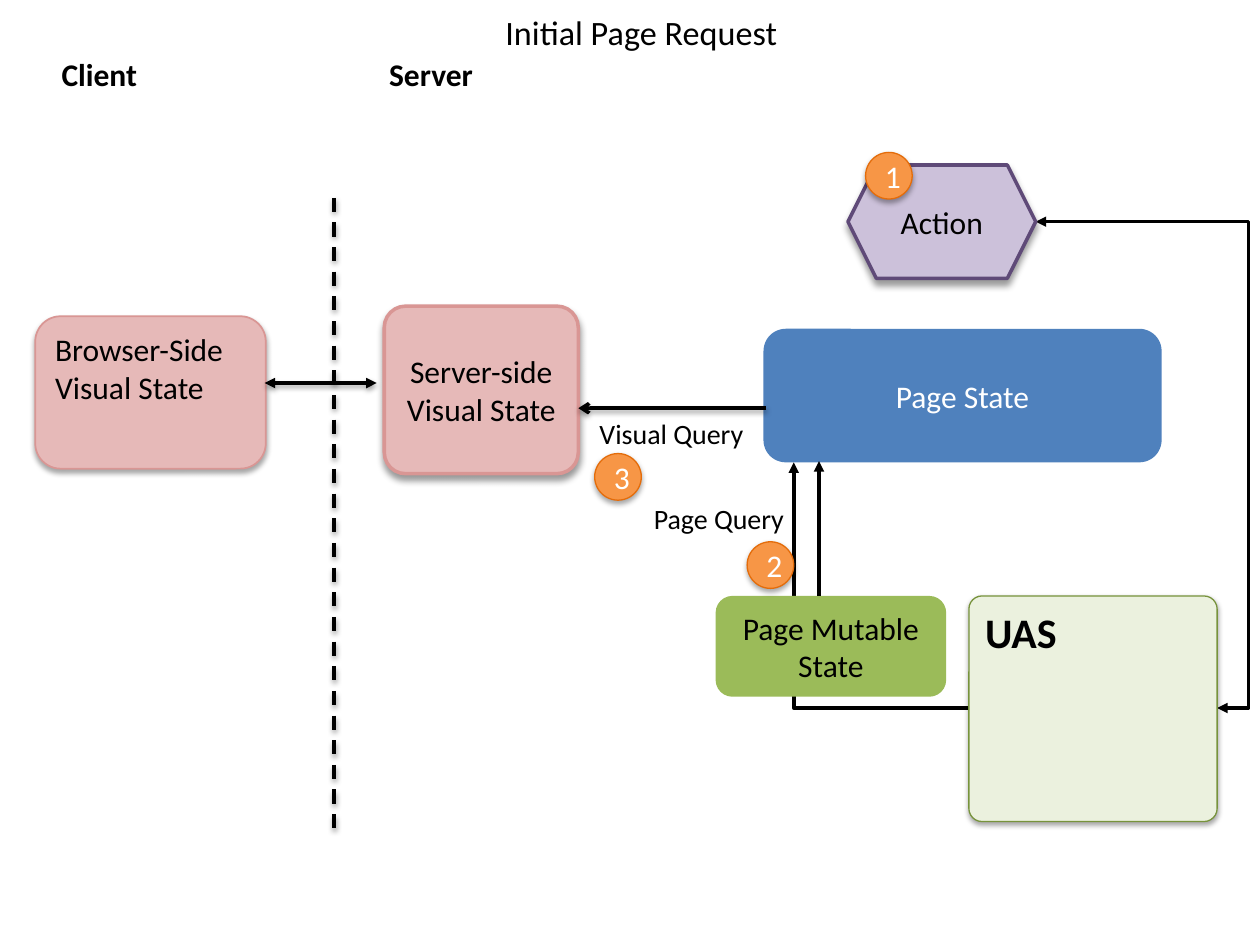
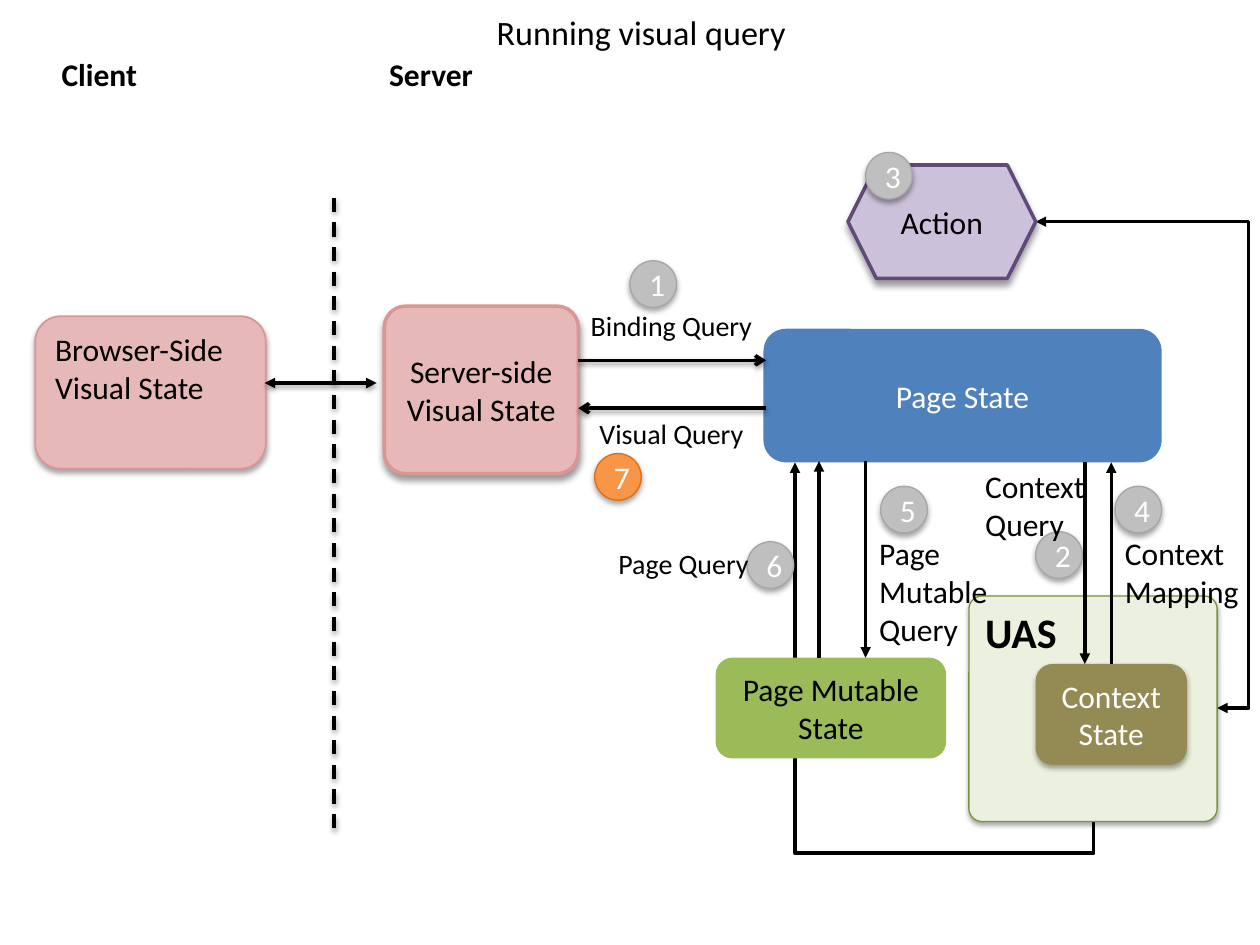
"""Build two slides on how page requests and visual queries move between client and server."""
from lxml import etree
from pptx import Presentation
from pptx.dml.color import RGBColor
from pptx.enum.dml import MSO_LINE
from pptx.enum.shapes import MSO_CONNECTOR, MSO_SHAPE
from pptx.enum.text import MSO_ANCHOR, MSO_AUTO_SIZE, PP_ALIGN
from pptx.oxml.ns import qn
from pptx.util import Inches, Pt

ROUNDED, HEXAGON, OVAL = MSO_SHAPE.ROUNDED_RECTANGLE, MSO_SHAPE.HEXAGON, MSO_SHAPE.OVAL
STRAIGHT, ELBOW = MSO_CONNECTOR.STRAIGHT, MSO_CONNECTOR.ELBOW
LEFT, CENTER = PP_ALIGN.LEFT, PP_ALIGN.CENTER
TOP, MIDDLE = MSO_ANCHOR.TOP, MSO_ANCHOR.MIDDLE
DASH = MSO_LINE.DASH
FIT, FIXED = MSO_AUTO_SIZE.SHAPE_TO_FIT_TEXT, MSO_AUTO_SIZE.NONE

FONT = "Calibri"
COLORS = {
    "black": "000000", "white": "FFFFFF",
    "rose": "E6B9B8", "rose edge": "D99694",
    "lilac": "CCC1DA", "lilac edge": "5F4A78",
    "blue": "4F81BD", "green": "9BBB59", "olive": "948A54",
    "pale green": "EBF1DE", "pale green edge": "77933C",
    "orange": "F79646", "orange edge": "E46C0A",
    "gray": "BFBFBF", "gray edge": "A6A6A6",
}
SOFT, STRONG, THIN = (35, 3.1, 1.8), (40, 4, 3), (38, 3.1, 1.6)
BADGE = 0.37

deck = Presentation()
deck.slide_width, deck.slide_height = Inches(10), Inches(7.5)
COLUMN, ROW = deck.slide_width / 10, deck.slide_height / 7.5
effects = []


def add_text(page, text, place, shape=None, fill=None, edge=None, edge_width=1, shadow=None,
             size=18, color="black", bold=False, align=LEFT, anchor=TOP, radius=None, inset=None):
    """Put text in the title (shape "title"), a text box (no shape) or a preset shape."""
    left, top, width, height = place
    frame = [int(left * COLUMN), int(top * ROW), int(width * COLUMN), int(height * ROW)]
    if shape == "title":
        box = page.shapes.title
        box.left, box.top, box.width, box.height = frame
    elif shape is None:
        box = page.shapes.add_textbox(*frame)
    else:
        box = page.shapes.add_shape(shape, *frame)
        box.fill.solid()
        box.fill.fore_color.rgb = RGBColor.from_string(COLORS[fill])
        if edge:
            box.line.color.rgb = RGBColor.from_string(COLORS[edge])
            box.line.width = Pt(edge_width)
        else:
            box.line.fill.background()
        effects.append((box, shadow))
    if radius is not None:
        box.adjustments[0] = radius
    body = box.text_frame
    body.text = text
    body.word_wrap = shape is not None
    body.auto_size = FIXED if shape else FIT
    body.vertical_anchor = anchor
    if inset is not None:
        body.margin_left = body.margin_right = body.margin_top = body.margin_bottom = inset
    for para in body.paragraphs:
        para.alignment = align
        para.font.name, para.font.size, para.font.bold = FONT, Pt(size), bold
        para.font.color.rgb = RGBColor.from_string(COLORS[color])
    return box


def add_line(page, start, end, kind=STRAIGHT, head=None, tail=None, dash=None, shadow=None, bend=None):
    """Draw a black connector; bend is the share of its width at which an elbow turns."""
    line = page.shapes.add_connector(kind, int(start[0] * COLUMN), int(start[1] * ROW),
                                     int(end[0] * COLUMN), int(end[1] * ROW))
    line.line.color.rgb = RGBColor.from_string(COLORS["black"])
    line.line.width = Pt(2)
    if dash:
        line.line.dash_style = dash
    outline = line._element.spPr.find(qn("a:ln"))
    for tag, arrow in (("a:headEnd", head), ("a:tailEnd", tail)):
        if arrow:
            etree.SubElement(outline, qn(tag), type=arrow)
    if bend:
        geometry = line._element.spPr.find(qn("a:prstGeom"))
        for old in list(geometry):
            geometry.remove(old)
        guides = etree.SubElement(geometry, qn("a:avLst"))
        etree.SubElement(guides, qn("a:gd"), name="adj1", fmla=f"val {round(bend * 100000)}")
    effects.append((line, shadow))
    return line


slides = [
    {
        "title": "Initial Page Request", "mutable top": 4.73, "context": False,
        "labels": [("Page Query", 5.09, 3.93, 1.25, 0.37, 16)],
        "badges": [("2", 5.93, 4.3, "orange"), ("1", 6.87, 1.21, "orange"), ("3", 4.72, 3.6, "orange")],
    },
    {
        "title": "Running visual query", "mutable top": 5.22, "context": True,
        "labels": [
            ("Page Query", 4.81, 4.29, 1.25, 0.37, 16),
            ("Binding Query", 4.59, 2.4, 1.5, 0.37, 16),
            ("Context\nMapping", 8.83, 4.19, 1.12, 0.71, 18),
            ("Page\nMutable\nQuery", 6.88, 4.19, 1.07, 1.01, 18),
            ("Context\nQuery", 7.72, 3.66, 1, 0.71, 18),
        ],
        "badges": [
            ("1", 5, 2.07, "gray"), ("2", 8.22, 4.22, "gray"), ("6", 5.93, 4.3, "gray"),
            ("4", 8.85, 3.86, "gray"), ("5", 6.99, 3.86, "gray"), ("3", 6.87, 1.21, "gray"),
            ("7", 4.72, 3.6, "orange"),
        ],
    },
]

for content in slides:
    page = deck.slides.add_slide(deck.slide_layouts[5])
    mutable_top = content["mutable top"]
    add_text(page, content["title"], (0.59, 0.04, 9, 0.43), "title", size=19.5, align=CENTER, anchor=MIDDLE)

    if content["context"]:
        page_query = add_line(page, (6.07, 3.91), (8.92, 6.28), ELBOW, head="triangle", bend=1.088)
        transform = page_query._element.spPr.find(qn("a:xfrm"))
        transform.set("rot", str(270 * 60000))
        transform.set("flipH", "1")
    else:
        page_query = add_line(page, (7.69, 5.62), (6.3, 3.67), ELBOW, tail="triangle")
        page_query._element.spPr.find(qn("a:prstGeom")).set("prst", "bentConnector2")

    add_text(page, "Server-side Visual State", (3.05, 2.43, 1.54, 1.33), ROUNDED, "rose", "rose edge", 2,
             STRONG, align=CENTER, anchor=MIDDLE, radius=0.127, inset=0)
    add_line(page, (8.22, 1.76), (9.66, 5.62), ELBOW, "triangle", "triangle", bend=1.173)
    add_text(page, "Action", (6.73, 1.31, 1.49, 0.9), HEXAGON, "lilac", "lilac edge", 2, STRONG,
             align=CENTER, anchor=MIDDLE)
    add_text(page, "Browser-Side Visual State", (0.28, 2.51, 1.83, 1.21), ROUNDED, "rose", "rose edge", 1, SOFT)
    for side, left in (("Client", 0.39), ("Server", 2.99)):
        add_text(page, side, (left, 0.39, 1, 0.4), bold=True)
    add_line(page, (2.65, 1.57), (2.65, 6.65), dash=DASH, shadow=THIN)
    add_text(page, "UAS", (7.69, 4.73, 1.97, 1.79), ROUNDED, "pale green", "pale green edge", 0.75, SOFT,
             size=24, bold=True, radius=0.058)
    add_text(page, "Page Mutable State", (5.68, mutable_top, 1.83, 0.8), ROUNDED, "green",
             align=CENTER, anchor=MIDDLE)
    add_text(page, "Page State", (6.06, 2.61, 3.16, 1.06), ROUNDED, "blue", color="white",
             align=CENTER, anchor=MIDDLE)

    add_line(page, (2.99, 3.04), (2.1, 3.04), head="triangle", tail="triangle", shadow=THIN)
    add_line(page, (6.08, 3.24), (4.59, 3.24), tail="arrow", shadow=THIN)
    add_line(page, (6.5, mutable_top), (6.5, 3.66), tail="triangle")
    if content["context"]:
        context_state = add_text(page, "Context State", (8.22, 5.27, 1.2, 0.8), ROUNDED, "olive", shadow=SOFT,
                                 color="white", align=CENTER, anchor=MIDDLE)
        add_line(page, (4.59, 2.86), (6.08, 2.86), tail="arrow", shadow=THIN)
        add_line(page, (8.61, 3.67), (8.61, 5.27), tail="triangle")
        add_line(page, (6.87, 3.66), (6.87, mutable_top), tail="triangle")
        mapping = add_line(page, (8.82, 5.27), (8.82, 3.67), tail="triangle")
        mapping.begin_connect(context_state, 0)

    for number, left, top, color in content["badges"]:
        add_text(page, number, (left, top, BADGE, BADGE), OVAL, color, f"{color} edge", 0.75, SOFT,
                 color="white", align=CENTER, anchor=MIDDLE)
    add_text(page, "Visual Query", (4.66, 3.26, 1.36, 0.37), size=16)
    for text, left, top, width, height, size in content["labels"]:
        add_text(page, text, (left, top, width, height), size=size)

for item, shadow in effects:
    effect_list = etree.SubElement(item._element.spPr, qn("a:effectLst"))
    if shadow:
        opacity, blur, distance = shadow
        outer = etree.SubElement(effect_list, qn("a:outerShdw"), blurRad=str(Pt(blur)), dist=str(Pt(distance)),
                                 dir=str(90 * 60000), rotWithShape="0")
        tint = etree.SubElement(outer, qn("a:srgbClr"), val=COLORS["black"])
        etree.SubElement(tint, qn("a:alpha"), val=str(opacity * 1000))

deck.save("out.pptx")
